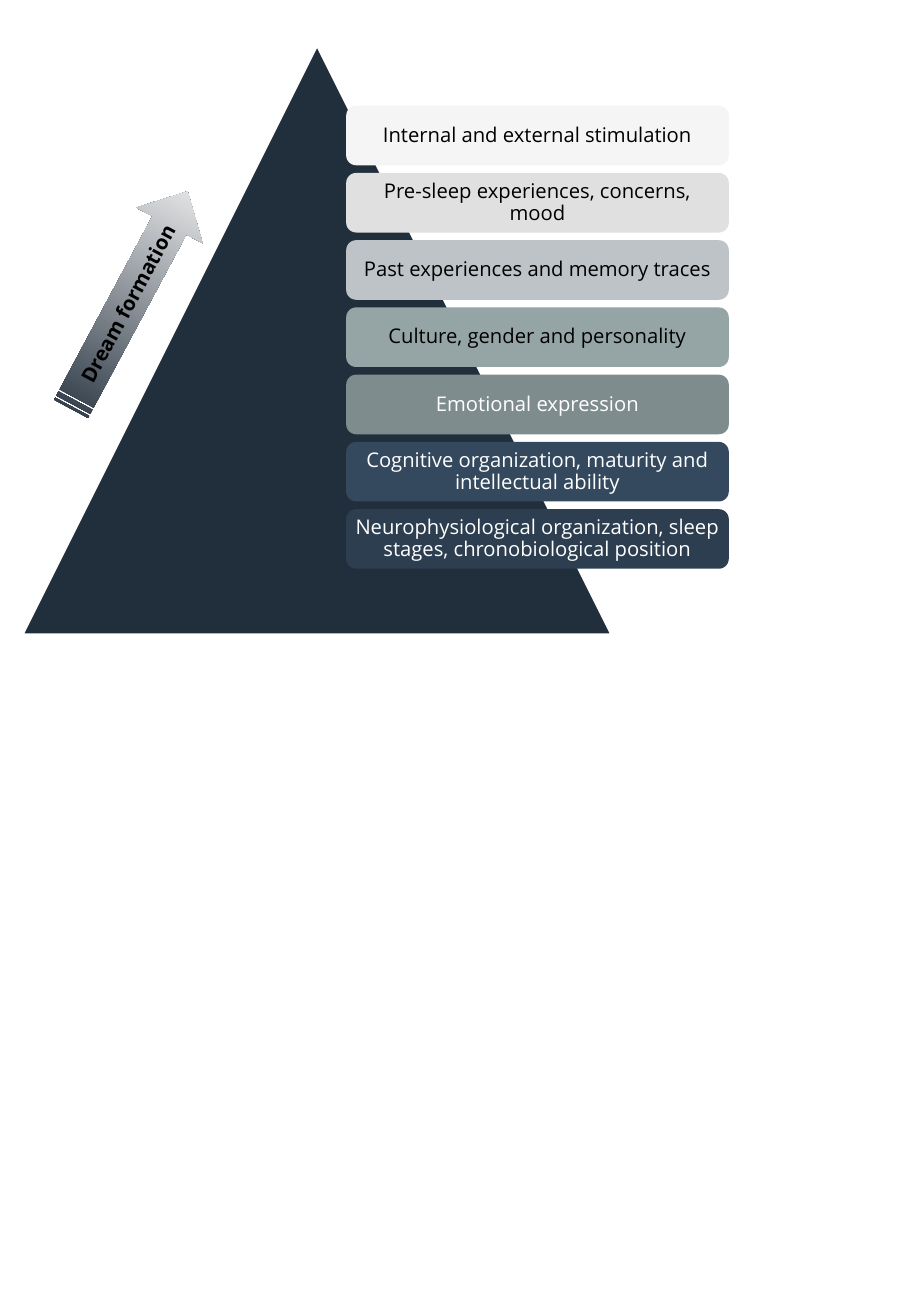
from dataclasses import dataclass

from pptx import Presentation
from pptx.dml.color import RGBColor
from pptx.enum.shapes import MSO_SHAPE as Shape
from pptx.enum.text import MSO_ANCHOR as Anchor, PP_ALIGN as Align
from pptx.util import Inches, Pt


@dataclass(frozen=True)
class Theme:
    font: str = "Open Sans"
    size: int = 12
    navy: str = "212E3B"
    pale: str = "F5F5F5"
    black: str = "000000"
    white: str = "FFFFFF"
    levels: tuple = ("F5F5F5", "E0E0E0", "BDC3C7", "95A5A6", "7F8C8D", "34495E", "2C3E50")


class Deck:
    """Draws styled elements on the current slide."""

    def __init__(self, prs, theme):
        self.theme = theme
        self.slide = prs.slides.add_slide(prs.slide_layouts[6])

    def shape(self, kind, box, fill=None):
        sp = self.slide.shapes.add_shape(kind, *map(Inches, box))
        sp.shadow.inherit = False
        sp.line.fill.background()
        if fill:
            sp.fill.solid()
            sp.fill.fore_color.rgb = RGBColor.from_string(fill)
        return sp

    def text(self, sp, text, color, bold=False):
        tf = sp.text_frame
        tf.word_wrap = True
        tf.vertical_anchor = Anchor.MIDDLE
        p = tf.paragraphs[0]
        p.text = text
        p.alignment = Align.CENTER
        p.font.name = self.theme.font
        p.font.size = Pt(self.theme.size)
        p.font.bold = bold
        p.font.color.rgb = RGBColor.from_string(color)
        return tf

    def pyramid(self, box):
        sp = self.shape(Shape.ISOSCELES_TRIANGLE, box, self.theme.navy)
        sp.line.color.rgb = RGBColor.from_string(self.theme.white)
        sp.line.width = Pt(1)

    def level(self, text, box, fill, color):
        sp = self.shape(Shape.ROUNDED_RECTANGLE, box, fill)
        tf = self.text(sp, text, color)
        tf.margin_left = tf.margin_right = Inches(0.05)
        tf.margin_top = tf.margin_bottom = Inches(0.05)
        tf.paragraphs[0].line_spacing = 0.9

    def arrow(self, text, box, rotation):
        sp = self.shape(Shape.STRIPED_RIGHT_ARROW, box)
        sp.adjustments[0] = 0.51
        sp.adjustments[1] = 0.51
        sp.rotation = rotation
        sp.fill.gradient()
        sp.fill.gradient_angle = 0
        ends = (self.theme.navy, self.theme.pale)
        for position, (stop, color) in enumerate(zip(sp.fill.gradient_stops, ends)):
            stop.position = position
            stop.color.rgb = RGBColor.from_string(color)
        self.text(sp, text, self.theme.black, bold=True)


LEVELS = (
    "Internal and external stimulation",
    "Pre-sleep experiences, concerns, mood",
    "Past experiences and memory traces",
    "Culture, gender and personality",
    "Emotional expression",
    "Cognitive organization, maturity and intellectual ability",
    "Neurophysiological organization, sleep stages, chronobiological position",
)
FIRST_TOP, LAST_TOP = 0.87, 4.19
DARK_FROM = 4

prs = Presentation()
prs.slide_width, prs.slide_height = Inches(7.5), Inches(10.83)
theme = Theme()
deck = Deck(prs, theme)

deck.pyramid((0.19, 0.38, 4.84, 4.84))
pitch = (LAST_TOP - FIRST_TOP) / (len(LEVELS) - 1)
for i, (text, fill) in enumerate(zip(LEVELS, theme.levels)):
    color = theme.white if i >= DARK_FROM else theme.black
    deck.level(text, (2.85, FIRST_TOP + i * pitch, 3.15, 0.49), fill, color)
deck.arrow("Dream formation", (0.05, 2.16, 2.03, 0.62), 298.2)

prs.save("out.pptx")
